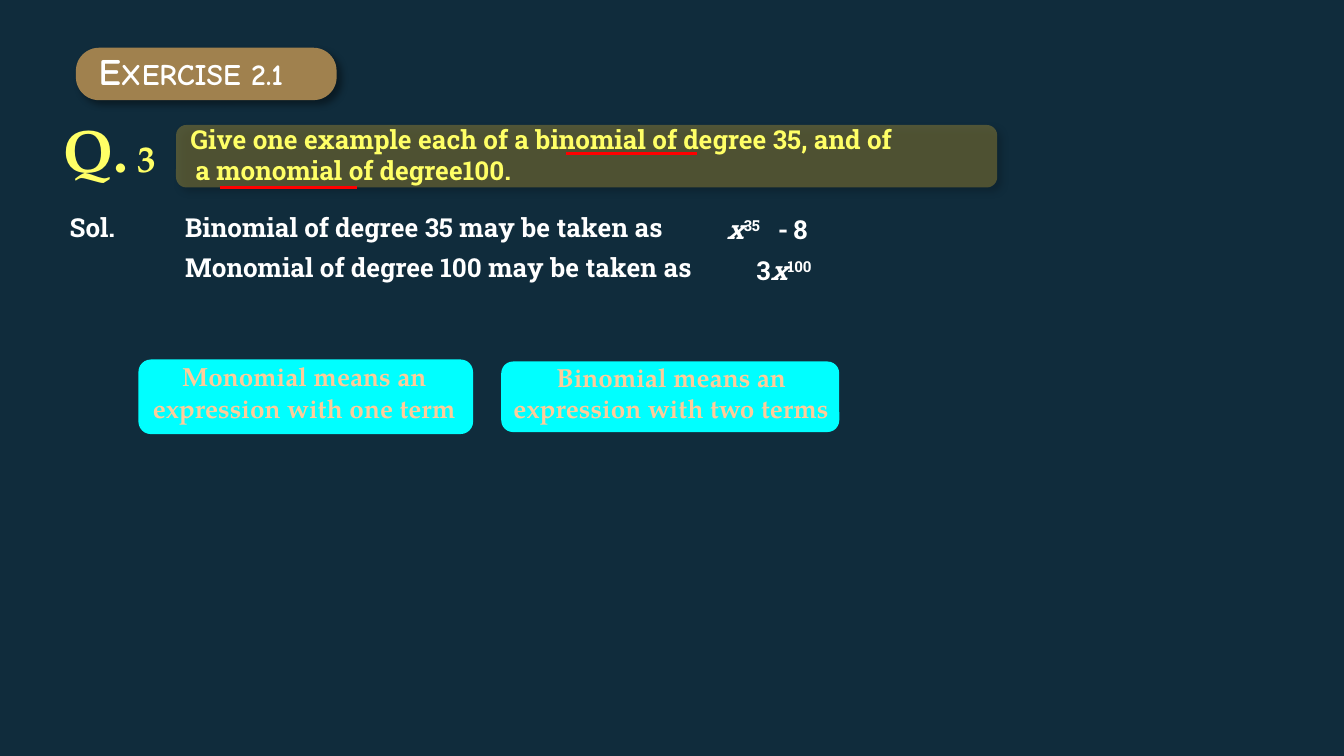
from dataclasses import dataclass

from lxml.etree import SubElement
from pptx import Presentation
from pptx.dml.color import RGBColor
from pptx.enum.shapes import MSO_CONNECTOR, MSO_SHAPE
from pptx.enum.text import MSO_AUTO_SIZE, PP_ALIGN
from pptx.oxml.ns import qn
from pptx.util import Emu, Pt

EMU_PER_PX = 4572
SLAB, PAGELLA, COMIC = "Roboto Slab", "TeX Gyre Pagella", "Comic Neue"
WHITE, YELLOW, PEACH, CYAN, RED = "FFFFFF", "FFFF66", "FFCC99", "00FFFF", "FF0000"


@dataclass(frozen=True)
class Run:
    text: str
    size: int | None = None
    italic: bool = False
    raised: bool = False


@dataclass(frozen=True)
class Panel:
    left: int
    top: int
    width: int
    height: int
    fill: str
    preset: MSO_SHAPE = MSO_SHAPE.ROUNDED_RECTANGLE
    opacity: int = 100
    rounding: float | None = None
    shadow: bool = False


@dataclass(frozen=True)
class Label:
    left: int
    top: int
    width: int
    height: int
    runs: tuple[Run, ...]
    size: int = 14
    font: str = SLAB
    color: str = WHITE
    align: PP_ALIGN = PP_ALIGN.LEFT
    wrap: bool = False


@dataclass(frozen=True)
class Underline:
    left: int
    right: int
    height: int


def px(length: int) -> Emu:
    return Emu(length * EMU_PER_PX)


def rgb(color: str) -> RGBColor:
    return RGBColor.from_string(color)


def draw_panel(slide, panel: Panel) -> None:
    shape = slide.shapes.add_shape(
        panel.preset, px(panel.left), px(panel.top), px(panel.width), px(panel.height))
    shape.fill.solid()
    shape.fill.fore_color.rgb = rgb(panel.fill)
    shape.line.fill.background()
    shape.shadow.inherit = False
    if panel.rounding is not None:
        shape.adjustments[0] = panel.rounding
    properties = shape._element.spPr
    if panel.opacity < 100:
        tint = properties.find(qn("a:solidFill"))[0]
        SubElement(tint, qn("a:alpha"), val=str(panel.opacity * 1000))
    if panel.shadow:
        outer = SubElement(properties.find(qn("a:effectLst")), qn("a:outerShdw"),
                           blurRad=str(Pt(4)), dist=str(Pt(3)), dir="2700000",
                           algn="tl", rotWithShape="0")
        black = SubElement(outer, qn("a:srgbClr"), val="000000")
        SubElement(black, qn("a:alpha"), val="40000")


def draw_label(slide, label: Label) -> None:
    frame = slide.shapes.add_textbox(
        px(label.left), px(label.top), px(label.width), px(label.height)).text_frame
    frame.word_wrap = label.wrap
    frame.auto_size = MSO_AUTO_SIZE.SHAPE_TO_FIT_TEXT
    paragraph = frame.paragraphs[0]
    paragraph.alignment = label.align
    paragraph.font.name = label.font
    paragraph.font.size = Pt(label.size)
    paragraph.font.bold = True
    paragraph.font.color.rgb = rgb(label.color)
    for part in label.runs:
        run = paragraph.add_run()
        run.text = part.text
        if part.size:
            run.font.size = Pt(part.size)
        if part.italic:
            run.font.italic = True
        if part.raised:
            run.font._element.set("baseline", "30000")


def draw_underline(slide, mark: Underline) -> None:
    line = slide.shapes.add_connector(
        MSO_CONNECTOR.STRAIGHT, px(mark.left), px(mark.height), px(mark.right), px(mark.height))
    line.line.color.rgb = rgb(RED)
    line.line.width = Pt(1.5)
    SubElement(line._element.spPr, qn("a:effectLst"))


def definition(left: int, top: int, width: int, text: str) -> Label:
    return Label(left, top, width, 114, (Run(text),), font=PAGELLA, color=PEACH,
                 align=PP_ALIGN.CENTER, wrap=True)


def question(left: int, top: int, width: int, text: str) -> Label:
    return Label(left, top, width, 68, (Run(text),), color=YELLOW,
                 align=PP_ALIGN.JUSTIFY, wrap=True)


def solution(left: int, top: int, width: int, *runs: Run) -> Label:
    return Label(left, top, width, 68, runs)


CONTENT = (
    Panel(-1, -1, 2002, 1127, "102C3C", preset=MSO_SHAPE.RECTANGLE),
    Label(84, 305, 122, 68, (Run("Sol."),), wrap=True),
    solution(256, 305, 834, Run("Binomial of degree 35 may be taken as")),
    solution(1062, 308, 98, Run("x", italic=True), Run("35", raised=True)),
    solution(1138, 308, 54, Run("-")),
    solution(1161, 308, 66, Run("8")),
    solution(256, 364, 878, Run("Monomial of degree 100 may be taken as")),
    solution(1106, 369, 142, Run("3"), Run("x", italic=True), Run("100", raised=True)),
    Panel(746, 538, 503, 105, CYAN),
    definition(735, 528, 528, "Binomial means an expression with two terms"),
    Panel(206, 535, 498, 111, CYAN),
    definition(205, 527, 496, "Monomial means an expression with one term"),
    Label(75, 158, 214, 128, (Run("Q."), Run(" 3", size=20)),
          size=32, font=PAGELLA, color=YELLOW, wrap=True),
    Panel(262, 186, 1222, 93, "AA9134", opacity=42, shadow=True),
    question(264, 174, 1268, "Give one example each of a binomial of degree 35, and of"),
    question(271, 220, 580, "a monomial of degree100."),
    Underline(843, 1037, 229),
    Underline(327, 531, 279),
    Panel(113, 71, 388, 78, "A0814E", rounding=0.44, shadow=True),
    Label(127, 62, 370, 88, (Run("E", size=20), Run("XERCISE 2.1")), size=16, font=COMIC),
)

DRAWERS = {Panel: draw_panel, Label: draw_label, Underline: draw_underline}


def main() -> None:
    deck = Presentation()
    deck.slide_width, deck.slide_height = px(2000), px(1125)
    slide = deck.slides.add_slide(deck.slide_layouts[6])
    for item in CONTENT:
        DRAWERS[type(item)](slide, item)
    deck.save("out.pptx")


if __name__ == "__main__":
    main()
